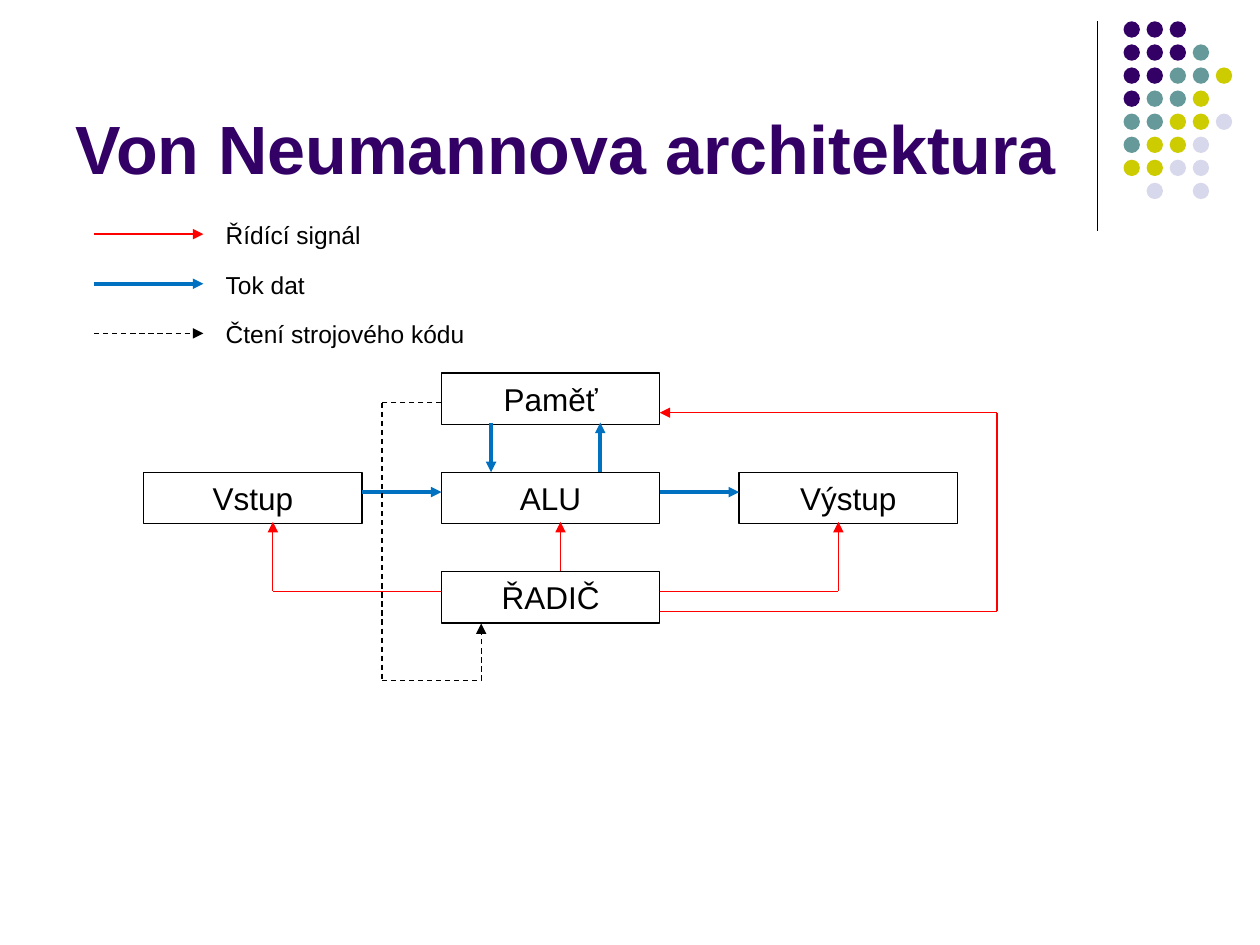
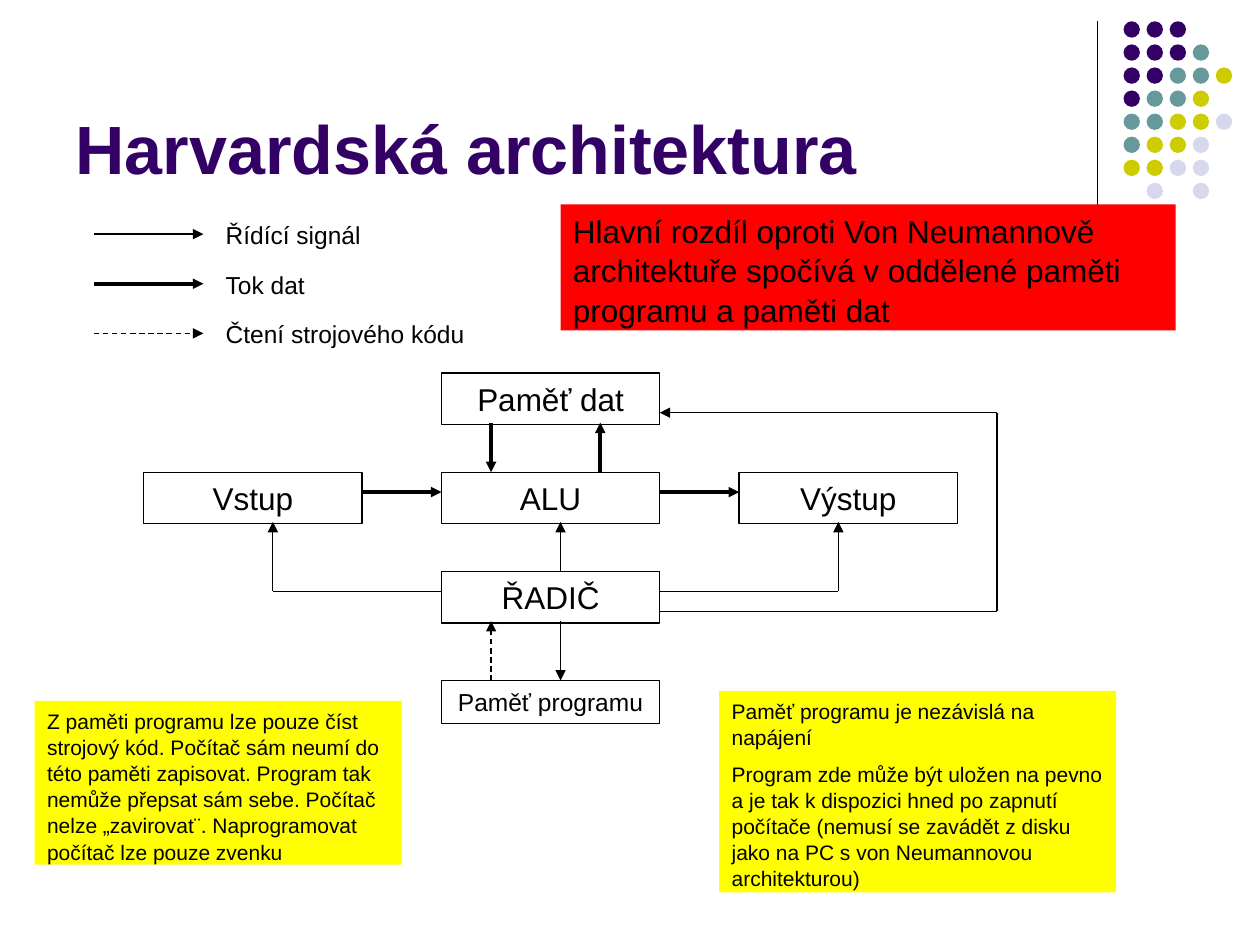
import lxml.etree
import pptx
import pptx.dml.color
import pptx.enum.dml
import pptx.enum.shapes
import pptx.enum.text
import pptx.oxml.ns
import pptx.util

RGB = pptx.dml.color.RGBColor
ANCHOR = pptx.enum.text.MSO_ANCHOR
ALIGN = pptx.enum.text.PP_ALIGN
SHAPE = pptx.enum.shapes.MSO_SHAPE
DASH = pptx.enum.dml.MSO_LINE.DASH

BLACK = RGB(0x00, 0x00, 0x00)
RED = RGB(0xFF, 0x00, 0x00)
BLUE = RGB(0x00, 0x70, 0xC0)
YELLOW = RGB(0xFF, 0xFF, 0x00)
PURPLE = RGB(0x33, 0x00, 0x66)
TEAL = RGB(0x66, 0x99, 0x99)
OLIVE = RGB(0xCC, 0xCC, 0x00)
LAVENDER = RGB(0xD8, 0xD8, 0xEC)

FONT = "Arial"
CELL = pptx.util.Cm(1)  # every length counts columns or rows of this grid
THIN, THICK = 0.75, 2

# Boxes as (column, row, columns wide, rows high)
TITLE_BOX = (1.27, 0.33, 20.95, 3.6)
LEGEND_ORIGIN = (1.9, 4.72)
DIAGRAM_ORIGIN = (2.9, 7.52)
DOTS_ORIGIN = (22.65, 0.43)
BLOCK_WIDTH, BLOCK_HEIGHT = 4.4, 1.04

DOT_COLORS = {"P": PURPLE, "T": TEAL, "O": OLIVE, "L": LAVENDER}
DOT_ROWS = ["PPP", "PPPT", "PPTTO", "PTTO", "TTOOL", "TOOL", "OOLL", " L L"]
DOT_PITCH, DOT_SIZE = 0.465, 0.33

LEGEND = [("control", "Řídící signál", 4.4), ("data", "Tok dat", 4.4),
          ("code", "Čtení strojového kódu", 5.4)]

# Blocks and routes shared by both diagrams, relative to the diagram's origin
SHARED_BLOCKS = [("ŘADIČ", 6, 4), ("ALU", 6, 2), ("Vstup", 0, 2), ("Výstup", 12, 2)]
SHARED_ROUTES = [
    ("data", [(4.4, 2.4), (6, 2.4)]),
    ("data", [(10.4, 2.4), (12, 2.4)]),
    ("data", [(7, 1), (7, 2)]),
    ("data", [(9.2, 2), (9.2, 1)]),
    ("control", [(8.4, 4), (8.4, 3)]),
    ("control", [(10.4, 4.4), (14, 4.4), (14, 3)]),
    ("control", [(6, 4.4), (2.6, 4.4), (2.6, 3)]),
    ("control", [(10.4, 4.8), (17.2, 4.8), (17.2, 0.8), (10.4, 0.8)]),
]


def grid(*counts):
    return [round(count * CELL) for count in counts]


def apply(target, formats):
    for name, value in formats.items():
        setattr(target, name, value)


def write(frame, paragraphs, size, color=BLACK, bold=False, align=ALIGN.LEFT,
          anchor=ANCHOR.MIDDLE, spacing=None):
    apply(frame, {"word_wrap": True, "vertical_anchor": anchor,
                  "auto_size": pptx.enum.text.MSO_AUTO_SIZE.NONE})
    for number, text in enumerate(paragraphs):
        paragraph = frame.add_paragraph() if number else frame.paragraphs[0]
        paragraph.text = text
        apply(paragraph, {"alignment": align, "line_spacing": spacing,
                          "space_before": pptx.util.Pt(size / 2 if number else 0)})
        apply(paragraph.font, {"name": FONT, "size": pptx.util.Pt(size), "bold": bold})
        paragraph.font.color.rgb = color


def add_plain(shapes, kind, box, fill=None, outline=None):
    shape = shapes.add_shape(kind, *grid(*box))
    shape.shadow.inherit = False
    if fill is None:
        shape.fill.background()
    else:
        shape.fill.solid()
        shape.fill.fore_color.rgb = fill
    if outline is None:
        shape.line.fill.background()
    else:
        shape.line.color.rgb = outline
        shape.line.width = pptx.util.Pt(THIN)
    return shape


def add_line(shapes, start, end, color=BLACK, width=THIN, dash=None, arrow=False):
    line = shapes.add_connector(pptx.enum.shapes.MSO_CONNECTOR.STRAIGHT,
                                *grid(*start, *end))
    line.line.color.rgb = color
    apply(line.line, {"width": pptx.util.Pt(width), "dash_style": dash})
    qn = pptx.oxml.ns.qn
    if arrow:
        lxml.etree.SubElement(line.line._get_or_add_ln(), qn("a:tailEnd"), type="triangle")
    lxml.etree.SubElement(line.element.spPr, qn("a:effectLst"))


def add_route(slide, origin, points, style):
    """Draw a bent route; only its last leg carries the arrowhead."""
    stops = [(origin[0] + x, origin[1] + y) for x, y in points]
    legs = list(zip(stops, stops[1:]))
    for number, (start, end) in enumerate(legs, 1):
        add_line(slide.shapes, start, end, arrow=number == len(legs), **style)


def decorate_layout(layout, slide):
    """Build the dot pattern and rule, then hand them to the shared layout."""
    for footer in [p for p in layout.placeholders if p.placeholder_format.idx >= 10]:
        footer.element.getparent().remove(footer.element)
    decoration = slide.shapes.add_group_shape()
    add_line(decoration.shapes, (22.12, 0.43), (22.12, 4.65))
    left, top = DOTS_ORIGIN
    for row, codes in enumerate(DOT_ROWS):
        for column, code in enumerate(codes):
            if code in DOT_COLORS:
                box = (left + column * DOT_PITCH, top + row * DOT_PITCH, DOT_SIZE, DOT_SIZE)
                add_plain(decoration.shapes, SHAPE.OVAL, box, DOT_COLORS[code])
    layout.shapes.element.append(decoration.element)


def add_title(slide, text):
    title = slide.shapes.title
    apply(title, dict(zip(("left", "top", "width", "height"), grid(*TITLE_BOX))))
    write(title.text_frame, [text], 39, PURPLE, bold=True, anchor=ANCHOR.BOTTOM)


def add_legend(slide, origin, styles):
    left, top = origin
    for row, (flow, label, width) in enumerate(LEGEND):
        add_route(slide, origin, [(0, row), (2.2, row)], styles[flow])
        caption = slide.shapes.add_textbox(*grid(left + 2.4, top + row - 0.4, width, 0.83))
        write(caption.text_frame, [label], 14)


def add_block(slide, origin, label, column, row, height=BLOCK_HEIGHT, size=18):
    box = (origin[0] + column, origin[1] + row, BLOCK_WIDTH, height)
    block = add_plain(slide.shapes, SHAPE.RECTANGLE, box, outline=BLACK)
    write(block.text_frame, [label], size, align=ALIGN.CENTER)


def add_diagram(slide, origin, blocks, routes, styles):
    for block in SHARED_BLOCKS + blocks:
        add_block(slide, origin, *block)
    for flow, points in SHARED_ROUTES + routes:
        add_route(slide, origin, points, styles[flow])


def add_note(slide, box, fill, size, paragraphs):
    note = add_plain(slide.shapes, SHAPE.RECTANGLE, box, fill)
    write(note.text_frame, paragraphs, size, anchor=ANCHOR.TOP, spacing=1.04)


def build_architecture(slide, title, blocks, routes, colors, notes=()):
    control, data = colors
    styles = {"control": {"color": control},
              "data": {"color": data, "width": THICK},
              "code": {"dash": DASH}}
    add_title(slide, title)
    add_diagram(slide, DIAGRAM_ORIGIN, blocks, routes, styles)
    add_legend(slide, LEGEND_ORIGIN, styles)
    for note in notes:
        add_note(slide, *note)


def main():
    deck = pptx.Presentation()
    deck.slide_width, deck.slide_height = grid(25.4, 19.05)
    layout = deck.slide_layouts[5]
    neumann, harvard = [deck.slides.add_slide(layout) for _ in range(2)]
    decorate_layout(layout, neumann)

    # Shared memory: code is read from the one memory block
    build_architecture(
        neumann, "Von Neumannova architektura",
        blocks=[("Paměť", 6, 0)],
        routes=[("code", [(6, 0.6), (4.8, 0.6), (4.8, 6.2), (6.8, 6.2), (6.8, 5.05)])],
        colors=(RED, BLUE))

    # Separate memories for data and program
    build_architecture(
        harvard, "Harvardská architektura",
        blocks=[("Paměť dat", 6, 0), ("Paměť programu", 6, 6.2, 0.87, 14)],
        routes=[("control", [(8.4, 5), (8.4, 6.2)]), ("code", [(7, 6.2), (7, 5)])],
        colors=(BLACK, BLACK),
        notes=[
            ((14.5, 13.93, 8, 4.06), YELLOW, 12, [
                "Paměť programu je nezávislá na napájení",
                "Program zde může být uložen na pevno a je tak k dispozici hned po "
                "zapnutí počítače (nemusí se zavádět z disku jako na PC s von "
                "Neumannovou architekturou)"]),
            ((0.7, 14.13, 7.4, 3.3), YELLOW, 12, [
                "Z paměti programu lze pouze číst strojový kód. Počítač sám neumí do "
                "této paměti zapisovat. Program tak nemůže přepsat sám sebe. Počítač "
                "nelze „zavirovat¨. Naprogramovat počítač lze pouze zvenku"]),
            ((11.3, 4.12, 12.4, 2.54), RED, 18, [
                "Hlavní rozdíl oproti Von Neumannově architektuře spočívá v oddělené "
                "paměti programu a paměti dat"]),
        ])
    deck.save("out.pptx")


if __name__ == "__main__":
    main()
